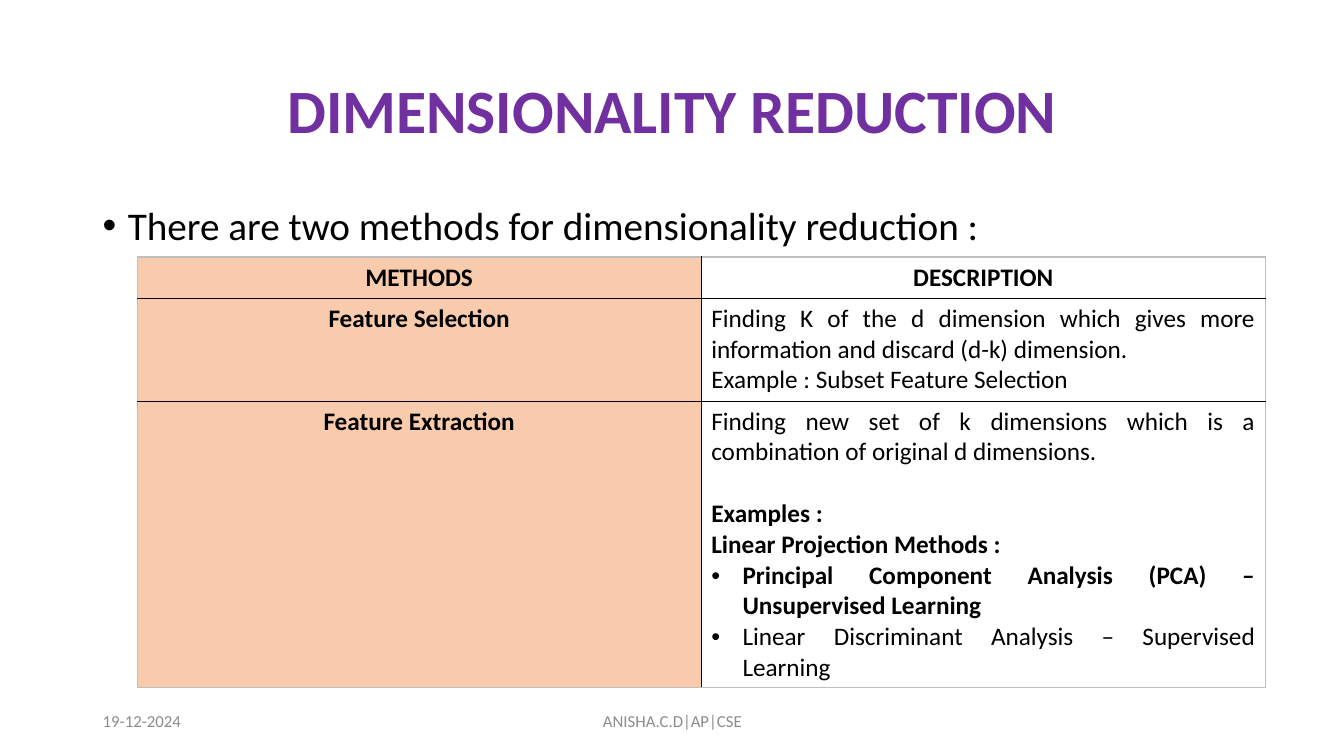
from pptx import Presentation
from pptx.dml.color import RGBColor
from pptx.enum.text import MSO_ANCHOR, PP_ALIGN
from pptx.oxml.ns import qn
from pptx.util import Inches, Pt
from lxml.etree import SubElement

PURPLE = RGBColor(0x70, 0x30, 0xA0)
BLACK = RGBColor(0x00, 0x00, 0x00)
GREY = RGBColor(0x8C, 0x8C, 0x8C)
EDGE_GREY = RGBColor(0xBF, 0xBF, 0xBF)
PEACH = RGBColor(0xF8, 0xCB, 0xAD)

presentation = Presentation()
presentation.slide_width, presentation.slide_height = Inches(13.33), Inches(7.5)
slide = presentation.slides.add_slide(presentation.slide_layouts[5])
MARGIN = Inches(0.92)
CONTENT_WIDTH = Inches(11.5)


def add_text(paragraph, text, size, color=BLACK, bold=False, align=PP_ALIGN.LEFT):
    paragraph.alignment = align
    run = paragraph.add_run()
    run.text = text
    run.font.name = "Calibri"
    run.font.size = Pt(size)
    run.font.bold = bold
    run.font.color.rgb = color


def add_bullet(paragraph, indent):
    properties = paragraph._p.get_or_add_pPr()
    properties.set("marL", str(Inches(indent)))
    properties.set("indent", str(-Inches(indent)))
    SubElement(properties, qn("a:buFont"), typeface="Arial")
    SubElement(properties, qn("a:buChar"), char="•")


# Title
title = slide.shapes.title
title.left, title.top, title.width, title.height = MARGIN, Inches(0.4), CONTENT_WIDTH, Inches(1.45)
title.text_frame.vertical_anchor = MSO_ANCHOR.MIDDLE
heading = title.text_frame.paragraphs[0]
heading.line_spacing = 0.9
add_text(heading, "DIMENSIONALITY REDUCTION", 44, PURPLE, True, PP_ALIGN.CENTER)

# Introductory bullet
intro = slide.shapes.add_textbox(MARGIN, Inches(2), CONTENT_WIDTH, Inches(0.55))
intro.text_frame.word_wrap = True
paragraph = intro.text_frame.paragraphs[0]
paragraph.line_spacing = 0.9
add_bullet(paragraph, 0.25)
add_text(paragraph, "There are two methods for dimensionality reduction :", 28)

# Methods table: each description line is (text, bold, bulleted, space before)
METHODS = [
    ("METHODS", 0.41, [("DESCRIPTION", True, False, 0)]),
    ("Feature Selection", 1.02, [
        ("Finding K of the d dimension which gives more information and discard (d-k) dimension.",
         False, False, 0),
        ("Example : Subset Feature Selection", False, False, 0),
    ]),
    ("Feature Extraction", 2.84, [
        ("Finding new set of k dimensions which is a combination of original d dimensions.",
         False, False, 0),
        ("Examples :", True, False, 22),
        ("Linear Projection Methods :", True, False, 0),
        ("Principal Component Analysis (PCA) – Unsupervised Learning", True, True, 0),
        ("Linear Discriminant Analysis – Supervised Learning", False, True, 0),
    ]),
]
table = slide.shapes.add_table(
    len(METHODS), 2, Inches(1.36), Inches(2.55), Inches(11.19), Inches(4.27)).table
for row, (method, height, lines) in enumerate(METHODS):
    table.rows[row].height = Inches(height)
    method_cell, description_cell = table.cell(row, 0), table.cell(row, 1)
    add_text(method_cell.text_frame.paragraphs[0], method, 18, BLACK, True, PP_ALIGN.CENTER)
    frame = description_cell.text_frame
    align = PP_ALIGN.CENTER if row == 0 else PP_ALIGN.JUSTIFY
    for index, (text, bold, bulleted, space) in enumerate(lines):
        paragraph = frame.add_paragraph() if index else frame.paragraphs[0]
        if space:
            paragraph.space_before = Pt(space)
        if bulleted:
            add_bullet(paragraph, 0.31)
        add_text(paragraph, text, 18, BLACK, bold, align)

    # Borders: black inside, grey around; they precede the fill in the XML
    for column, cell in enumerate((method_cell, description_cell)):
        outer_sides = {"lnL": column == 0, "lnR": column == 1,
                       "lnT": row == 0, "lnB": row == len(METHODS) - 1}
        properties = cell._tc.get_or_add_tcPr()
        for side, outer in outer_sides.items():
            line = SubElement(properties, qn(f"a:{side}"), w=str(Pt(1)))
            fill = SubElement(line, qn("a:solidFill"))
            SubElement(fill, qn("a:srgbClr"), val=str(EDGE_GREY if outer else BLACK))
    method_cell.fill.solid()
    method_cell.fill.fore_color.rgb = PEACH
    description_cell.fill.background()

# Footer: date and author
for left, width, text, align in (
        (0.92, 3, "19-12-2024", PP_ALIGN.LEFT),
        (4.42, 4.5, "ANISHA.C.D|AP|CSE", PP_ALIGN.CENTER)):
    footer = slide.shapes.add_textbox(Inches(left), Inches(6.95), Inches(width), Inches(0.4))
    footer.text_frame.word_wrap = True
    footer.text_frame.vertical_anchor = MSO_ANCHOR.MIDDLE
    add_text(footer.text_frame.paragraphs[0], text, 12, GREY, align=align)

presentation.save("out.pptx")
